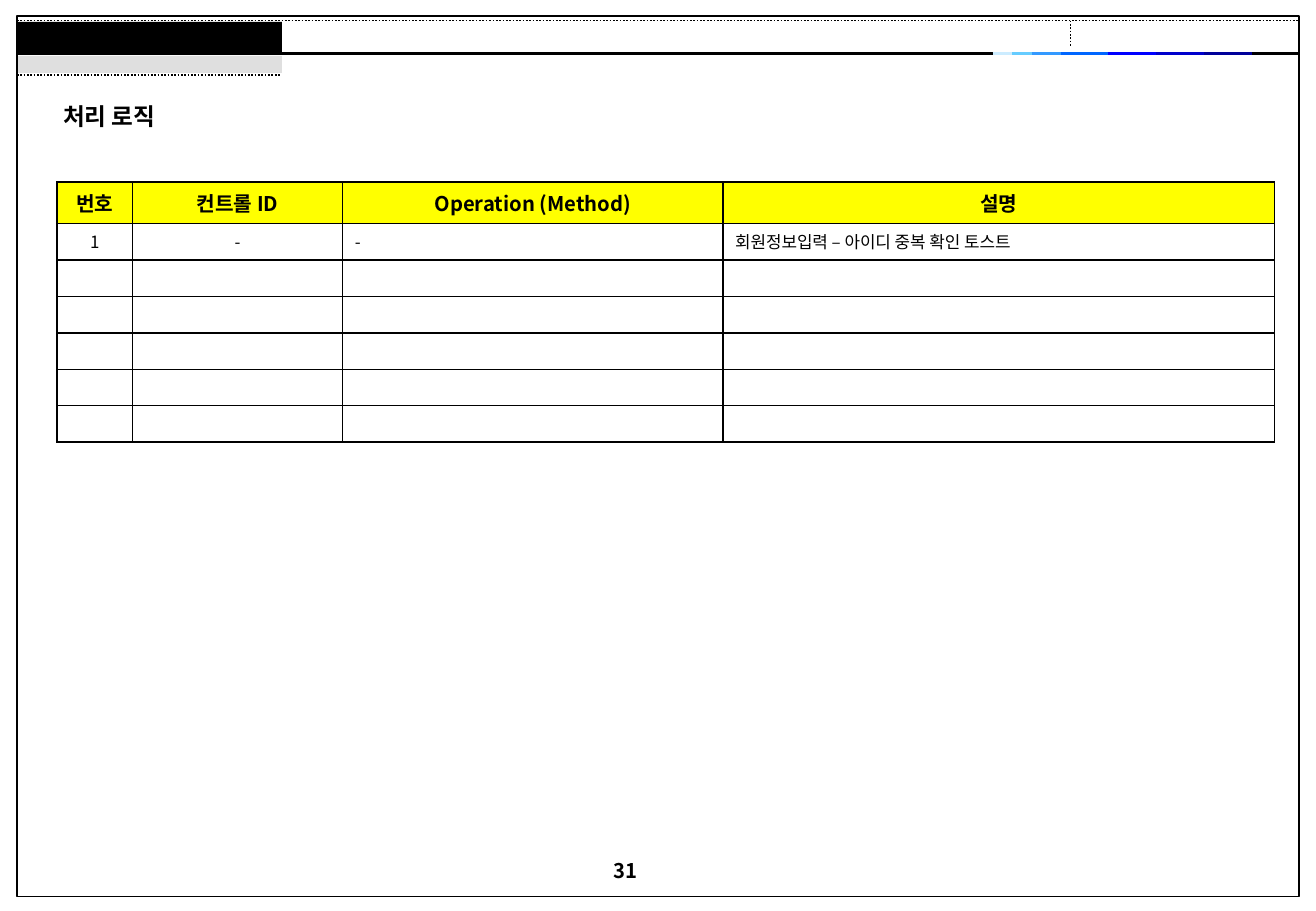
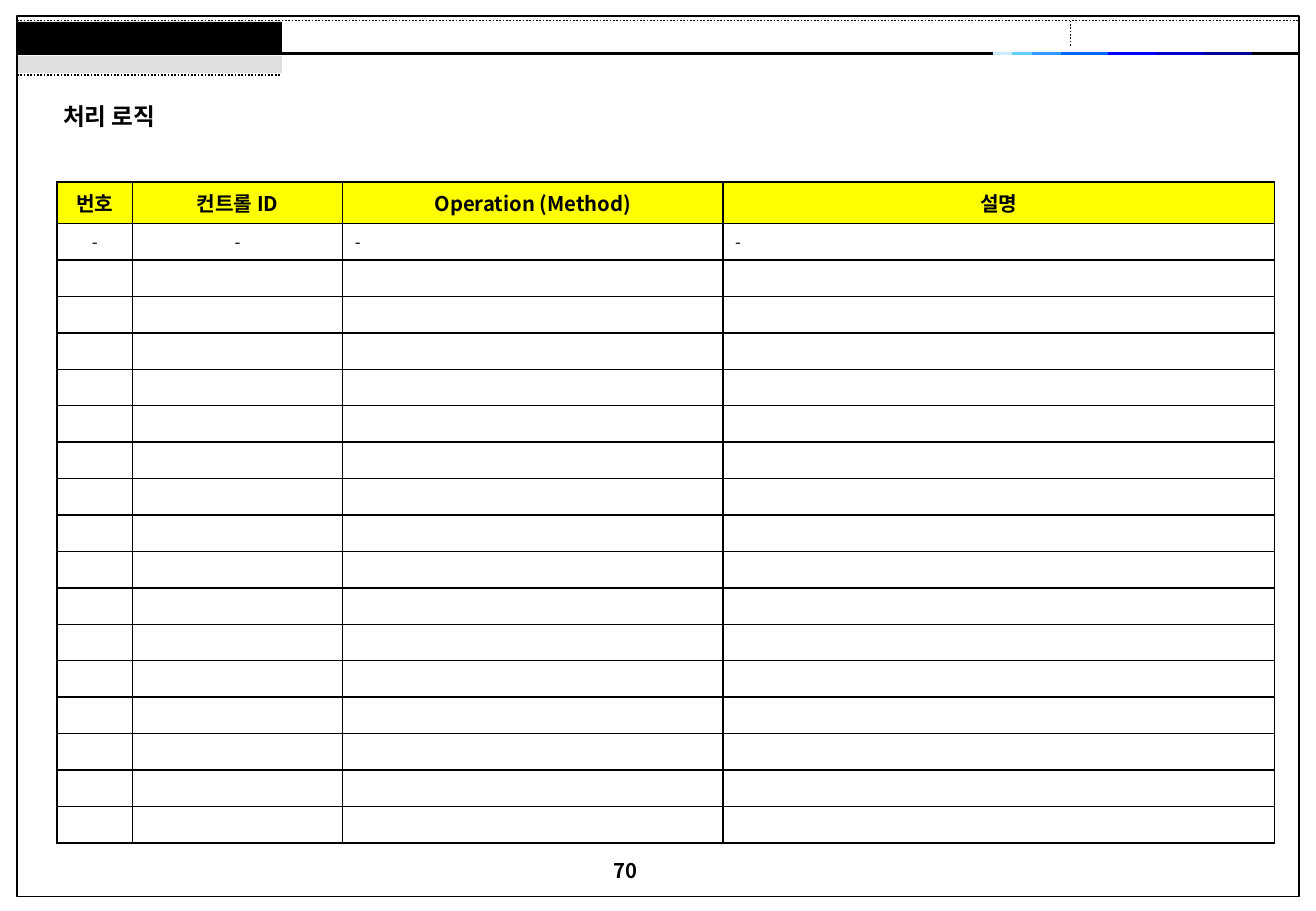
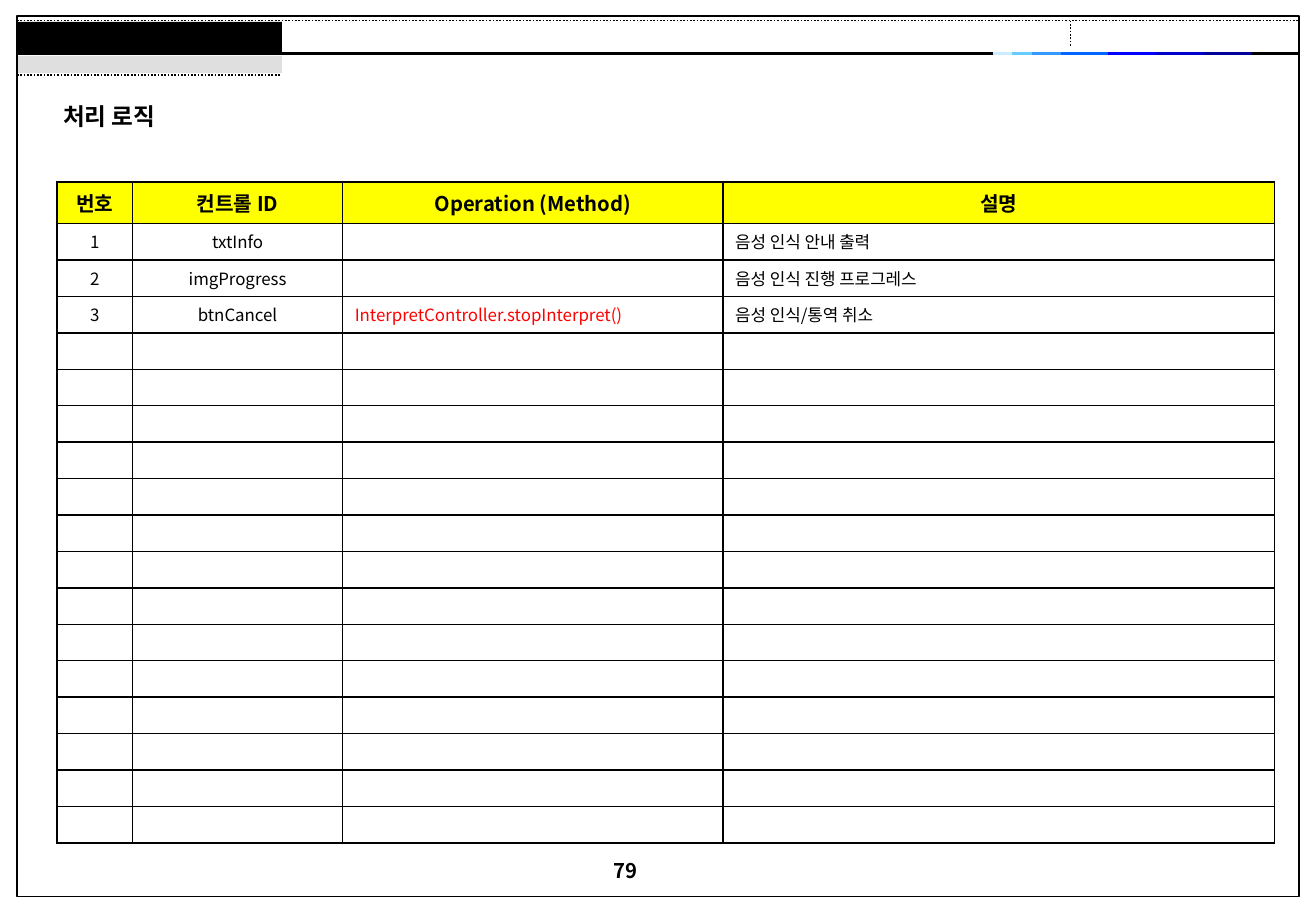
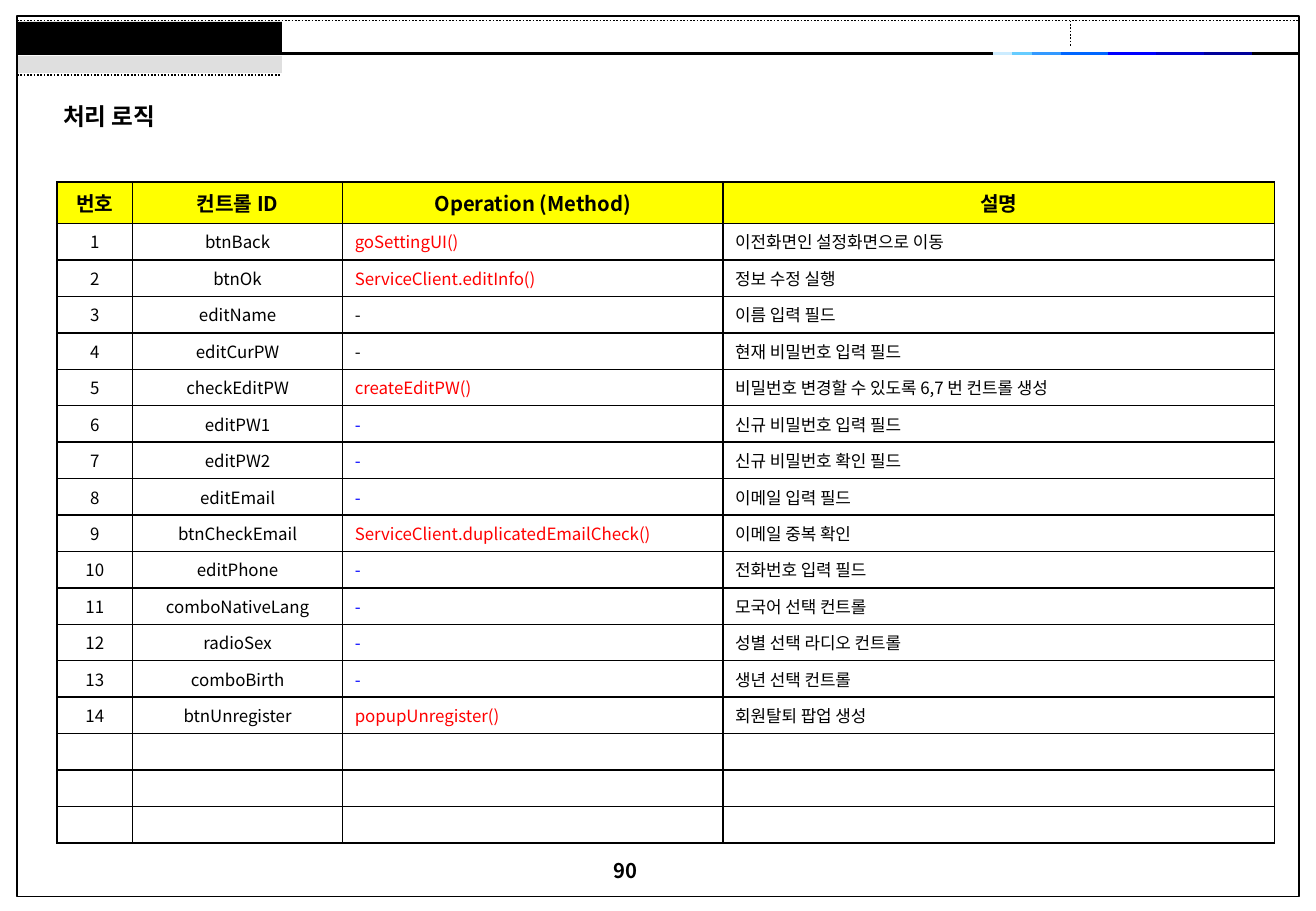
from lxml import etree
from pptx import Presentation
from pptx.dml.color import RGBColor
from pptx.enum import dml, shapes, text
from pptx.oxml.ns import qn
from pptx.util import Inches, Pt

FONT = "Noto Sans CJK KR"
BLACK = RGBColor(0x00, 0x00, 0x00)
GRAY = RGBColor(0xC0, 0xC0, 0xC0)
YELLOW = RGBColor(0xFF, 0xFF, 0x00)
RED = RGBColor(0xFF, 0x00, 0x00)
BLUE = RGBColor(0x00, 0x00, 0xFF)

TITLE = "처리 로직"
HEADERS = ("번호", "컨트롤 ID", "Operation (Method)", "설명")
COLUMN_WIDTHS = (0.62, 1.73, 3.13, 4.54)
HEADER_HEIGHT, ROW_HEIGHT = 0.34, 0.3
CENTERED_COLUMNS = 2
OPERATION_COLUMN = 2

# Each page: number, count of body rows, filled rows, row numbers with a blue dash
PAGES = [
    ("31", 6, [("1", "-", "-", "회원정보입력 – 아이디 중복 확인 토스트")], ()),
    ("70", 17, [("-", "-", "-", "-")], ()),
    ("79", 17, [
        ("1", "txtInfo", "", "음성 인식 안내 출력"),
        ("2", "imgProgress", "", "음성 인식 진행 프로그레스"),
        ("3", "btnCancel", "InterpretController.stopInterpret()", "음성 인식/통역 취소"),
    ], ()),
    ("90", 17, [
        ("1", "btnBack", "goSettingUI()", "이전화면인 설정화면으로 이동"),
        ("2", "btnOk", "ServiceClient.editInfo()", "정보 수정 실행"),
        ("3", "editName", "-", "이름 입력 필드"),
        ("4", "editCurPW", "-", "현재 비밀번호 입력 필드"),
        ("5", "checkEditPW", "createEditPW()", "비밀번호 변경할 수 있도록 6,7 번 컨트롤 생성"),
        ("6", "editPW1", "-", "신규 비밀번호 입력 필드"),
        ("7", "editPW2", "-", "신규 비밀번호 확인 필드"),
        ("8", "editEmail", "-", "이메일 입력 필드"),
        ("9", "btnCheckEmail", "ServiceClient.duplicatedEmailCheck()", "이메일 중복 확인"),
        ("10", "editPhone", "-", "전화번호 입력 필드"),
        ("11", "comboNativeLang", "-", "모국어 선택 컨트롤"),
        ("12", "radioSex", "-", "성별 선택 라디오 컨트롤"),
        ("13", "comboBirth", "-", "생년 선택 컨트롤"),
        ("14", "btnUnregister", "popupUnregister()", "회원탈퇴 팝업 생성"),
    ], range(6, 14)),
]

LEFT, RIGHT, RULE_Y = 0.14, 10.69, 0.44
DOTTED_LINES = [
    (LEFT, 0.17, RIGHT, 0.17),
    (8.81, 0.17, 8.81, 0.38),
    (LEFT, 0.62, 2.31, 0.62),
]
ACCENT_EDGES = (8.17, 8.33, 8.49, 8.73, 9.12, 9.51, 9.91, 10.3)
ACCENT_COLORS = (
    RGBColor(0xCC, 0xEC, 0xFF), RGBColor(0x66, 0xCC, 0xFF),
    RGBColor(0x33, 0x99, 0xFF), RGBColor(0x00, 0x66, 0xFF),
    BLUE, RGBColor(0x00, 0x00, 0xCC), RGBColor(0x00, 0x00, 0x99),
)


def add_line(slide, ends, color=BLACK, width=2.25, dash=None):
    line = slide.shapes.add_connector(
        shapes.MSO_CONNECTOR.STRAIGHT, *(Inches(value) for value in ends))
    line.line.color.rgb = color
    line.line.width = Pt(width)
    if dash:
        line.line.dash_style = dash
    etree.SubElement(line._element.spPr, qn("a:effectLst"))


def add_rectangle(slide, box, fill=None, outlined=False, opacity=100):
    shape = slide.shapes.add_shape(
        shapes.MSO_SHAPE.RECTANGLE, *(Inches(value) for value in box))
    shape.shadow.inherit = False
    if fill is None:
        shape.fill.background()
    else:
        shape.fill.solid()
        shape.fill.fore_color.rgb = fill
    if opacity < 100:
        color = shape._element.spPr.find(".//" + qn("a:srgbClr"))
        etree.SubElement(color, qn("a:alpha"), val=str(opacity * 1000))
    if outlined:
        shape.line.color.rgb = BLACK
        shape.line.width = Pt(1)
    else:
        shape.line.fill.background()


def write(paragraph, content, size, bold=False, color=BLACK):
    """Fill a paragraph; an empty one still gets its size, to keep rows low."""
    paragraph.text = content
    if not content:
        etree.SubElement(paragraph._p, qn("a:endParaRPr"), sz=str(size * 100))
    for run in paragraph.runs:
        run.font.name = FONT
        run.font.size = Pt(size)
        run.font.bold = bold
        run.font.color.rgb = color
        east_asian = etree.Element(qn("a:ea"), typeface=FONT)
        run.font._element.find(qn("a:latin")).addnext(east_asian)


def add_label(slide, box, content, size):
    frame = slide.shapes.add_textbox(*(Inches(value) for value in box)).text_frame
    frame.word_wrap = True
    frame.margin_top = Inches(0.02)
    write(frame.paragraphs[0], content, size, bold=True)


def add_borders(cell):
    properties = cell._tc.get_or_add_tcPr()
    for side in ("lnL", "lnR", "lnT", "lnB"):
        border = etree.SubElement(properties, qn("a:" + side), w=str(Pt(1)))
        fill = etree.SubElement(border, qn("a:solidFill"))
        etree.SubElement(fill, qn("a:srgbClr"), val=str(BLACK))


def operation_color(content, row, blue_rows):
    if content.endswith("()"):
        return RED
    return BLUE if row in blue_rows else BLACK


def add_logic_table(slide, row_count, entries, blue_rows):
    blank_rows = [("",) * len(HEADERS)] * (row_count - len(entries))
    rows = [HEADERS, *entries, *blank_rows]
    height = HEADER_HEIGHT + row_count * ROW_HEIGHT
    table = slide.shapes.add_table(
        len(rows), len(HEADERS), Inches(0.47), Inches(1.5),
        Inches(sum(COLUMN_WIDTHS)), Inches(height)).table
    table.first_row = table.horz_banding = False
    for column, width in zip(table.columns, COLUMN_WIDTHS):
        column.width = Inches(width)
    for row, contents in enumerate(rows):
        is_header = row == 0
        table.rows[row].height = Inches(HEADER_HEIGHT if is_header else ROW_HEIGHT)
        for column, content in enumerate(contents):
            cell = table.cell(row, column)
            cell.vertical_anchor = text.MSO_ANCHOR.MIDDLE
            add_borders(cell)
            if is_header:
                cell.fill.solid()
                cell.fill.fore_color.rgb = YELLOW
            else:
                cell.fill.background()
            color = BLACK
            if column == OPERATION_COLUMN:
                color = operation_color(content, row, blue_rows)
            paragraph = cell.text_frame.paragraphs[0]
            if is_header or column < CENTERED_COLUMNS:
                paragraph.alignment = text.PP_ALIGN.CENTER
            write(paragraph, content, 12 if is_header else 10, is_header, color)


def add_page_frame(slide, number):
    add_rectangle(slide, (LEFT, 0.13, RIGHT - LEFT, 7.25), outlined=True)
    add_line(slide, (LEFT, RULE_Y, RIGHT, RULE_Y))
    for start, end, color in zip(ACCENT_EDGES, ACCENT_EDGES[1:], ACCENT_COLORS):
        add_line(slide, (start, RULE_Y, end, RULE_Y), color)
    add_rectangle(slide, (0.15, 0.18, 2.17, 0.25), BLACK)
    add_rectangle(slide, (0.15, 0.46, 2.17, 0.14), GRAY, opacity=50)
    for ends in DOTTED_LINES:
        add_line(slide, ends, width=1, dash=dml.MSO_LINE.ROUND_DOT)
    add_label(slide, (4.95, 7.05, 0.94, 0.44), number, 12)


def main():
    presentation = Presentation()
    presentation.slide_width = Inches(10.83)
    presentation.slide_height = Inches(7.5)
    blank_layout = presentation.slide_layouts[6]
    for number, row_count, entries, blue_rows in PAGES:
        slide = presentation.slides.add_slide(blank_layout)
        add_page_frame(slide, number)
        add_logic_table(slide, row_count, entries, blue_rows)
        add_label(slide, (0.42, 0.82, 2.01, 0.34), TITLE, 14)
    presentation.save("out.pptx")


if __name__ == "__main__":
    main()
